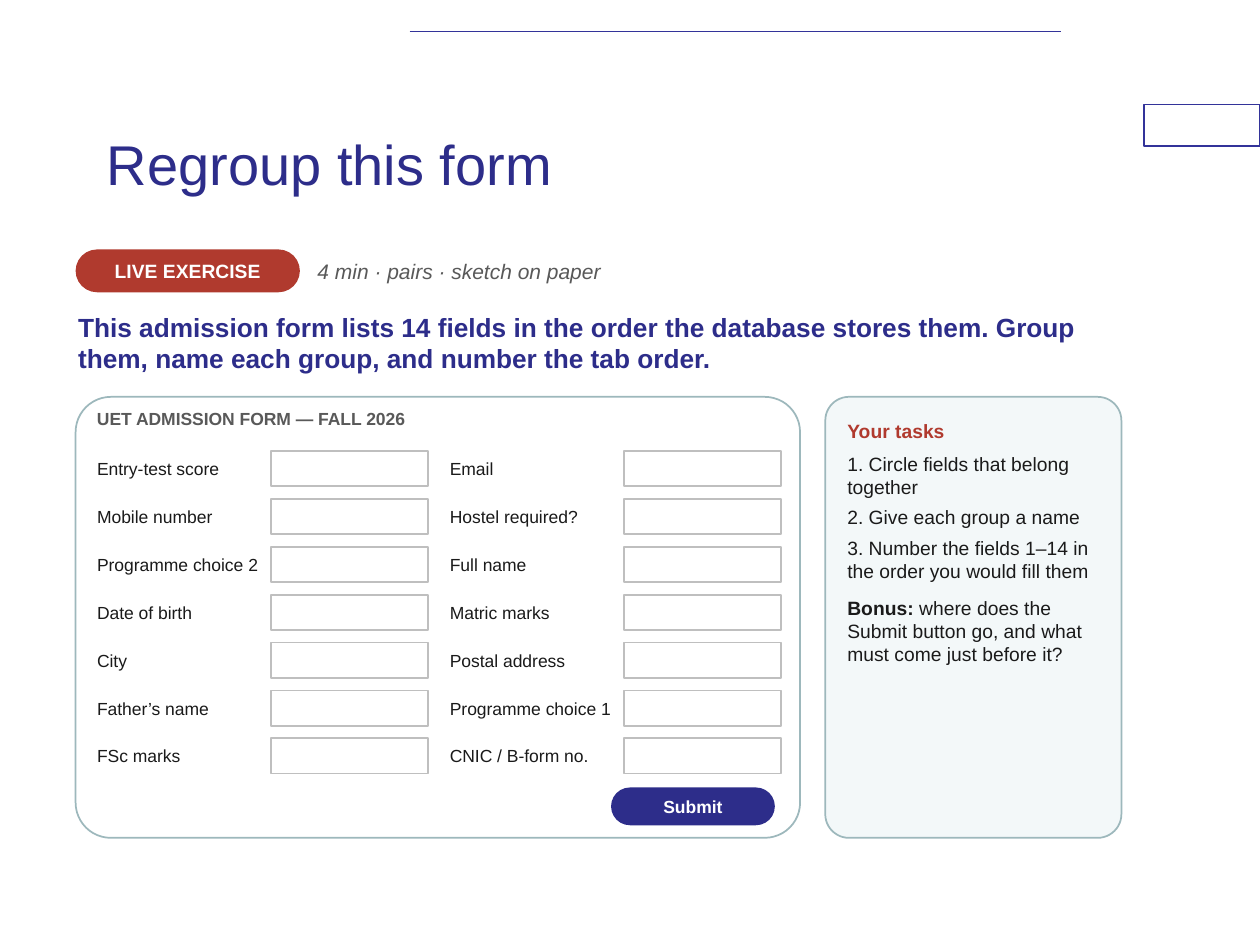
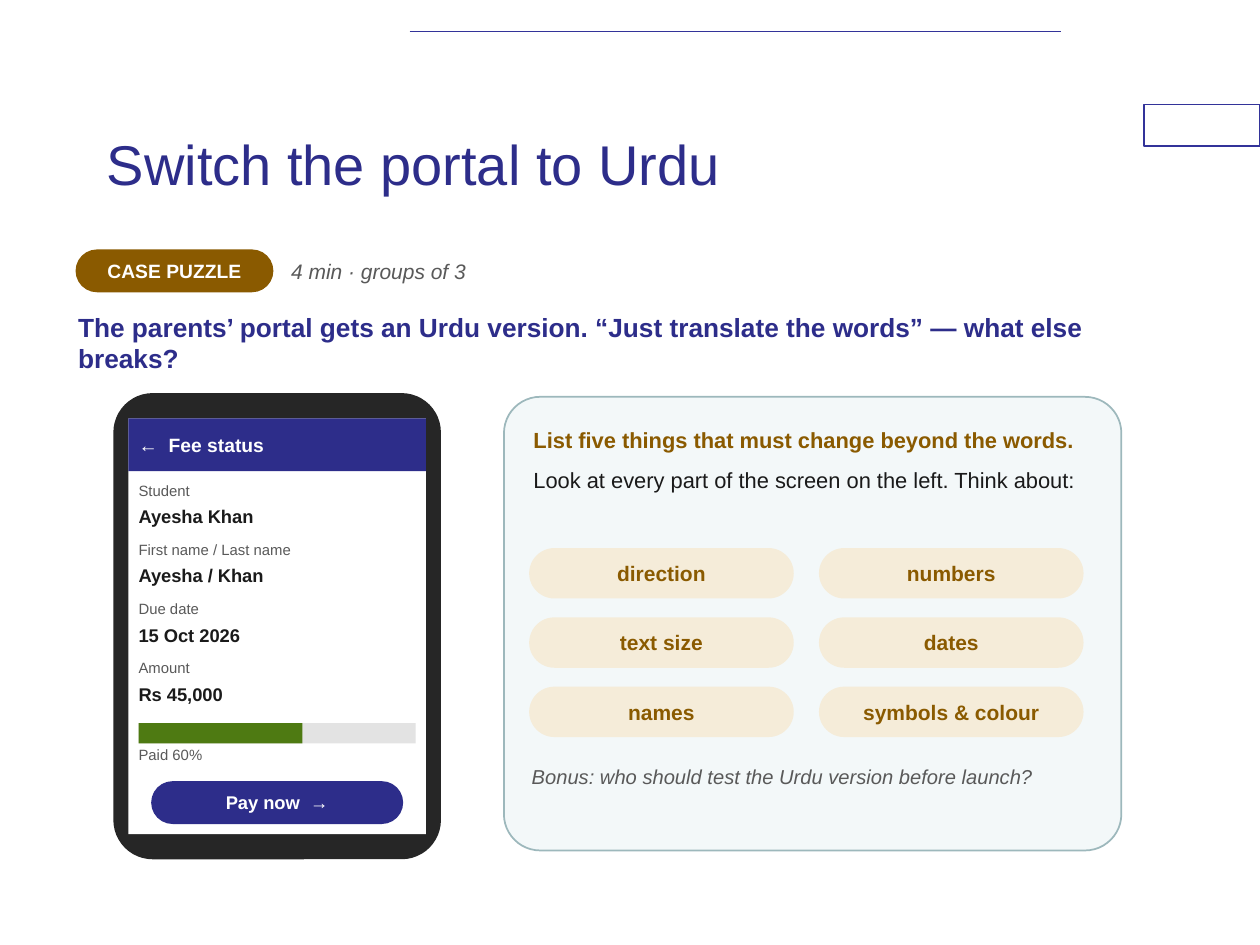
from dataclasses import dataclass, replace

from lxml import etree
from pptx import Presentation
from pptx.dml.color import RGBColor
from pptx.enum.shapes import MSO_CONNECTOR, MSO_SHAPE
from pptx.enum.text import MSO_ANCHOR, PP_ALIGN
from pptx.oxml.ns import qn
from pptx.shapes.autoshape import Shape
from pptx.slide import Slide
from pptx.util import Inches, Pt

RECT, ROUND = MSO_SHAPE.RECTANGLE, MSO_SHAPE.ROUNDED_RECTANGLE
STRAIGHT = MSO_CONNECTOR.STRAIGHT
TOP, MIDDLE = MSO_ANCHOR.TOP, MSO_ANCHOR.MIDDLE
LEFT, CENTER = PP_ALIGN.LEFT, PP_ALIGN.CENTER

FONT = "Arial"
COLORS = {
    "white": "FFFFFF", "frame": "333399", "navy": "2D2D8A", "red": "B03A2E",
    "brown": "8A5A00", "sand": "F5ECD9", "ink": "1A1A1A", "grey": "595959",
    "field": "BFBFBF", "panel": "F3F8F9", "edge": "9DB8BC", "phone": "262626",
    "track": "E3E3E3", "green": "4E7A12",
}

# The slide is a grid of 100 columns and 75 rows.
SLIDE_W, SLIDE_H = Inches(10), Inches(7.5)
COL, ROW = SLIDE_W / 100, SLIDE_H / 75
MARGIN, CONTENT_W = 6, 83
PILL_ADJ, PANEL_ADJ, PHONE_ADJ = 0.5, 0.08, 0.12
TIGHT, PILL_INSET = 0.02, 0.03


@dataclass(frozen=True)
class Box:
    """A place on the grid, in columns and rows."""
    col: float
    row: float
    cols: float
    rows: float

    def emu(self) -> tuple[int, int, int, int]:
        return (round(self.col * COL), round(self.row * ROW),
                round(self.cols * COL), round(self.rows * ROW))


@dataclass(frozen=True)
class Style:
    size: float
    color: str
    bold: bool = False
    italic: bool = False


@dataclass(frozen=True)
class Run:
    text: str
    style: Style
    spacing: float = 0


@dataclass(frozen=True)
class Para:
    runs: tuple[Run, ...]
    before: float = 0


@dataclass(frozen=True)
class Exercise:
    """What the top of each exercise slide says."""
    title: str
    tag: str
    tag_color: str
    tag_cols: float
    setting: str
    question: str


TITLE = Style(32, "navy")
TAG = Style(11, "white", bold=True)
SETTING = Style(12, "grey", italic=True)
QUESTION = Style(15, "navy", bold=True)
FORM_HEAD = Style(10, "grey", bold=True)
FORM_LABEL = Style(10, "ink")
SUBMIT = Style(10, "white", bold=True)
TASK = Style(11, "ink")
PROMPT = Style(12.5, "brown", bold=True)
CHIP = Style(12, "brown", bold=True)
BONUS = Style(11.5, "grey", italic=True)
SCREEN_LABEL = Style(8.5, "grey")
SCREEN_VALUE = Style(10.5, "ink", bold=True)
PAY = replace(SCREEN_VALUE, color="white")

REGROUP = Exercise(
    "Regroup this form", "LIVE EXERCISE", "red", 17.8,
    "4 min · pairs · sketch on paper",
    "This admission form lists 14 fields in the order the database stores them. "
    "Group them, name each group, and number the tab order.")
URDU = Exercise(
    "Switch the portal to Urdu", "CASE PUZZLE", "brown", 15.7,
    "4 min · groups of 3",
    "The parents’ portal gets an Urdu version. “Just translate the words” — "
    "what else breaks?")

FORM_FIELDS = (
    ("Entry-test score", "Mobile number", "Programme choice 2", "Date of birth",
     "City", "Father’s name", "FSc marks"),
    ("Email", "Hostel required?", "Full name", "Matric marks",
     "Postal address", "Programme choice 1", "CNIC / B-form no."),
)
SCREEN_FIELDS = (
    ("Student", "Ayesha Khan"), ("First name / Last name", "Ayesha / Khan"),
    ("Due date", "15 Oct 2026"), ("Amount", "Rs 45,000"),
)
HINTS = (("direction", "numbers"), ("text size", "dates"),
         ("names", "symbols & colour"))


def rgb(name: str) -> RGBColor:
    return RGBColor.from_string(COLORS[name])


def para(text: str, style: Style, before: float = 0) -> Para:
    return Para((Run(text, style),), before)


def spaced(first: str, second: str, style: Style) -> Para:
    """Two pieces of text with a widened space between them."""
    gap = Run(" ", style, spacing=style.size * 0.28)
    return Para((Run(first, style), gap, Run(second, style)))


def write(sp: Shape, paras: list[Para], inset: float, anchor: MSO_ANCHOR = TOP,
          align: PP_ALIGN = LEFT) -> None:
    tf = sp.text_frame
    tf.word_wrap = True
    tf.vertical_anchor = anchor
    tf.margin_left = tf.margin_right = Inches(inset)
    tf.margin_top = tf.margin_bottom = Inches(inset)
    for i, item in enumerate(paras):
        p = tf.add_paragraph() if i else tf.paragraphs[0]
        p.alignment = align
        if item.before:
            p.space_before = Pt(item.before)
        p.text = item.runs[0].text
        for extra in item.runs[1:]:
            p.add_run().text = extra.text
        for r, run in zip(p.runs, item.runs):
            r.font.name = FONT
            r.font.size = Pt(run.style.size)
            r.font.bold = run.style.bold
            r.font.italic = run.style.italic
            r.font.color.rgb = rgb(run.style.color)
            if run.spacing:
                r._r.get_or_add_rPr().set("spc", str(round(run.spacing * 100)))


def label(s: Slide, box: Box, text: str, style: Style, inset: float = TIGHT,
          anchor: MSO_ANCHOR = TOP) -> None:
    write(s.shapes.add_textbox(*box.emu()), [para(text, style)], inset, anchor)


def block(s: Slide, box: Box, fill: str, line: str | None = None,
          width: float = 1, adj: float | None = None) -> Shape:
    """A filled rectangle, rounded when adj is given."""
    sp = s.shapes.add_shape(RECT if adj is None else ROUND, *box.emu())
    sp.shadow.inherit = False
    if adj is not None:
        sp.adjustments[0] = adj
    sp.fill.solid()
    sp.fill.fore_color.rgb = rgb(fill)
    if line:
        sp.line.color.rgb = rgb(line)
        sp.line.width = Pt(width)
    else:
        sp.line.fill.background()
    return sp


def pill(s: Slide, box: Box, content: Para, fill: str) -> None:
    sp = block(s, box, fill, adj=PILL_ADJ)
    write(sp, [content], PILL_INSET, MIDDLE, CENTER)


def panel(s: Slide, box: Box, fill: str = "panel") -> Shape:
    return block(s, box, fill, "edge", adj=PANEL_ADJ)


def draw_frame(s: Slide) -> None:
    """The page box and top rule that every slide carries."""
    block(s, Box(90.8, 8.3, 9.2, 3.3), "white", "frame", 0.75)
    x, y, w, _ = Box(32.5, 2.5, 51.7, 0).emu()
    rule = s.shapes.add_connector(STRAIGHT, x, y, x + w, y)
    rule.line.color.rgb = rgb("frame")
    rule.line.width = Pt(1)
    etree.SubElement(rule._element.spPr, qn("a:effectLst"))


def exercise_slide(prs: Presentation, ex: Exercise) -> Slide:
    s = prs.slides.add_slide(prs.slide_layouts[6])
    draw_frame(s)
    label(s, Box(7.5, 6.7, 75, 12.5), ex.title, TITLE, 0.1, MIDDLE)
    pill(s, Box(MARGIN, 19.8, ex.tag_cols, 3.4), para(ex.tag, TAG), ex.tag_color)
    start = MARGIN + ex.tag_cols + 1.2
    label(s, Box(start, 19.8, MARGIN + CONTENT_W - start, 3.4), ex.setting,
          SETTING, anchor=MIDDLE)
    label(s, Box(MARGIN, 24.5, CONTENT_W, 6.2), ex.question, QUESTION)
    return s


def draw_form(s: Slide) -> None:
    left, top, col_step, row_step = 7.5, 35.5, 28, 3.8
    panel(s, Box(MARGIN, 31.5, 57.5, 35), "white")
    label(s, Box(left, 32.2, 54, 3), "UET ADMISSION FORM — FALL 2026", FORM_HEAD)
    for i, names in enumerate(FORM_FIELDS):
        for j, name in enumerate(names):
            x, y = left + i * col_step, top + j * row_step
            label(s, Box(x, y, 13.8, 3.4), name, FORM_LABEL, anchor=MIDDLE)
            block(s, Box(x + 14, y + 0.3, 12.5, 2.8), "white", "field")
    pill(s, Box(48.5, 62.5, 13, 3), para("Submit", SUBMIT), "navy")


def draw_tasks(s: Slide) -> None:
    bonus = (Run("Bonus: ", replace(TASK, bold=True)),
             Run("where does the Submit button go, and what must come "
                 "just before it?", TASK))
    write(panel(s, Box(65.5, 31.5, 23.5, 35)), [
        para("Your tasks", replace(TASK, color="red", bold=True)),
        para("1. Circle fields that belong together", TASK, 6),
        para("2. Give each group a name", TASK, 4),
        para("3. Number the fields 1–14 in the order you would fill them", TASK, 4),
        Para(bonus, 8),
    ], 0.12)


def draw_phone(s: Slide) -> None:
    left, width, step = 11, 22, 4.7
    block(s, Box(9, 31.2, 26, 37), "phone", adj=PHONE_ADJ)
    block(s, Box(10.2, 33.2, 23.6, 33), "white")
    header = block(s, Box(10.2, 33.2, 23.6, 4.2), "navy")
    write(header, [spaced("←", "Fee status", TAG)], 0.08, MIDDLE)
    for i, (name, value) in enumerate(SCREEN_FIELDS):
        y = 38.2 + i * step
        label(s, Box(left, y, width, 2), name, SCREEN_LABEL, 0)
        label(s, Box(left, y + 1.9, width, 2.5), value, SCREEN_VALUE, 0)
    for cols, color in ((width, "track"), (13, "green")):
        block(s, Box(left, 57.4, cols, 1.6), color)
    label(s, Box(left, 59.2, width, 2), "Paid 60%", SCREEN_LABEL, 0)
    pill(s, Box(12, 62, 20, 3.4), spaced("Pay now", "→", PAY), "navy")


def draw_hints(s: Slide) -> None:
    left, top, col_step, row_step = 42, 43.5, 23, 5.5
    write(panel(s, Box(40, 31.5, 49, 36)), [
        para("List five things that must change beyond the words.", PROMPT),
        para("Look at every part of the screen on the left. Think about:",
             replace(PROMPT, color="ink", bold=False), 8),
    ], 0.15)
    for j, row in enumerate(HINTS):
        for i, hint in enumerate(row):
            box = Box(left + i * col_step, top + j * row_step, 21, 4)
            pill(s, box, para(hint, CHIP), "sand")
    label(s, Box(left, 60.5, 45, 6),
          "Bonus: who should test the Urdu version before launch?", BONUS)


def main() -> None:
    prs = Presentation()
    prs.slide_width, prs.slide_height = SLIDE_W, SLIDE_H
    s = exercise_slide(prs, REGROUP)
    draw_form(s)
    draw_tasks(s)
    s = exercise_slide(prs, URDU)
    draw_phone(s)
    draw_hints(s)
    prs.save("out.pptx")


if __name__ == "__main__":
    main()
